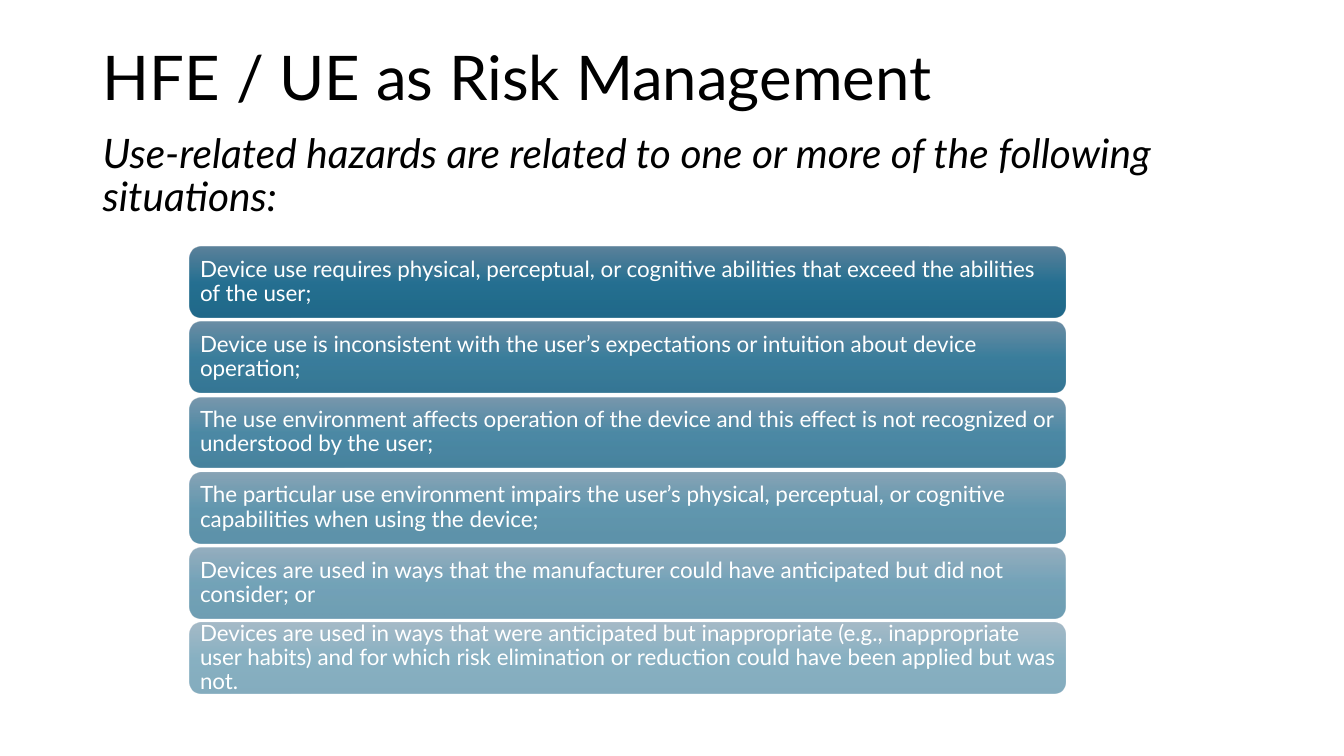
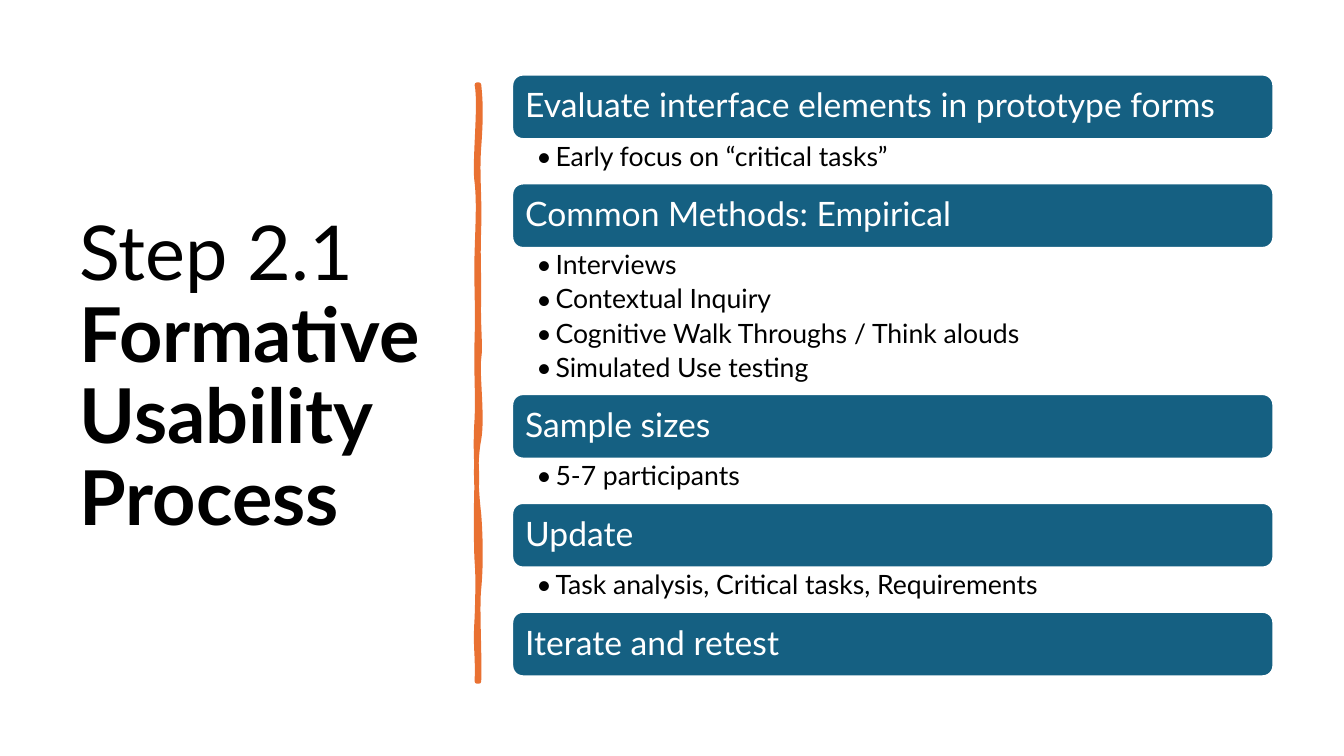
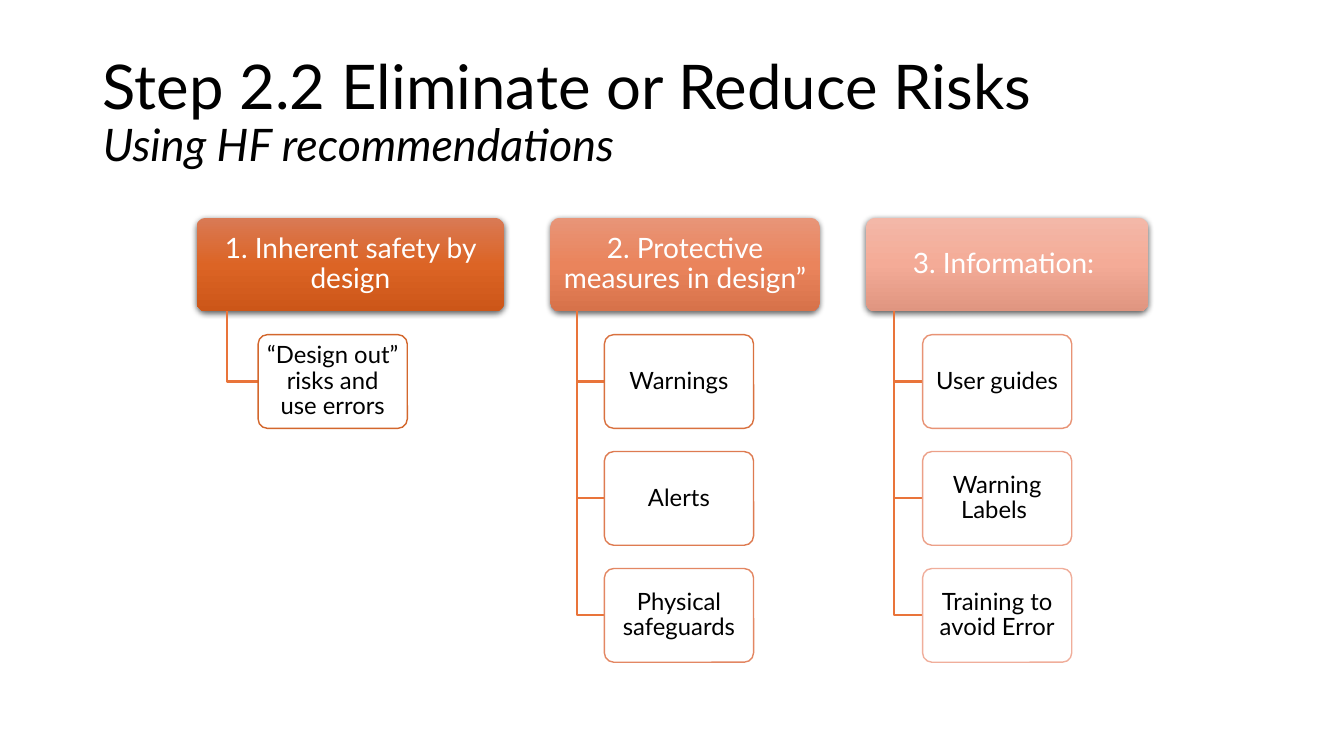
from lxml.etree import SubElement
from pptx import Presentation
from pptx.dml.color import RGBColor
from pptx.enum.shapes import MSO_SHAPE
from pptx.enum.text import MSO_ANCHOR, MSO_AUTO_SIZE, PP_ALIGN
from pptx.oxml.ns import qn
from pptx.util import Inches, Pt

COLORS = {
    "black": "000000", "white": "FFFFFF", "blue": "156082",
    "orange": "E97132", "elbow": "E9743A",
}
FONT = "Lato"
LINE_SPACING = 0.9

HAZARD_TITLE = [("HFE / UE as Risk Management", {})]
HAZARD_LEAD = "Use-related hazards are related to one or more of the following situations:"
HAZARD_GRADIENT = ("4C7591", "106287", "09597D")
HAZARDS = [
    "Device use requires physical, perceptual, or cognitive abilities that exceed the abilities of the user;",
    "Device use is inconsistent with the user’s expectations or intuition about device operation;",
    "The use environment affects operation of the device and this effect is not recognized or understood by the user;",
    "The particular use environment impairs the user’s physical, perceptual, or cognitive capabilities when using the device;",
    "Devices are used in ways that the manufacturer could have anticipated but did not consider; or",
    "Devices are used in ways that were anticipated but inappropriate (e.g., inappropriate user habits) and for which risk elimination or reduction could have been applied but was not.",
]

PROCESS_TITLE = [("Step 2.1 ", {}), ("Formative Usability Process", {"bold": True})]
PROCESS = [
    ("Evaluate interface elements in prototype forms", ["Early focus on “critical tasks”"], 0.43),
    ("Common Methods: Empirical", ["Interviews", "Contextual Inquiry",
     "Cognitive Walk Throughs / Think alouds", "Simulated Use testing"], 1.44),
    ("Sample sizes", ["5-7 participants"], 0.43),
    ("Update", ["Task analysis, Critical tasks, Requirements"], 0.43),
    ("Iterate and retest", [], 0),
]
DIVIDER_START = (4.75, 0.84)
DIVIDER_CURVES = [
    ((4.77, 1.02), (4.77, 1.19), (4.75, 1.46)),
    ((4.73, 1.73), (4.76, 1.95), (4.75, 2.26)),
    ((4.74, 2.57), (4.75, 2.62), (4.75, 2.94)),
    ((4.74, 3.25), (4.77, 3.42), (4.75, 3.56)),
    ((4.73, 3.7), (4.79, 4.14), (4.75, 4.36)),
    ((4.71, 4.57), (4.72, 4.84), (4.75, 5.1)),
    ((4.77, 5.36), (4.77, 5.64), (4.75, 5.84)),
    ((4.73, 6.03), (4.76, 6.5), (4.75, 6.76)),
    ((4.74, 6.76), (4.73, 6.76), (4.73, 6.76)),
    ((4.74, 6.46), (4.71, 6.44), (4.73, 6.13)),
    ((4.74, 5.83), (4.74, 5.7), (4.73, 5.57)),
    ((4.72, 5.44), (4.72, 4.95), (4.73, 4.77)),
    ((4.73, 4.59), (4.71, 4.45), (4.73, 4.15)),
    ((4.74, 3.86), (4.72, 3.73), (4.73, 3.35)),
    ((4.74, 2.98), (4.72, 2.81), (4.73, 2.5)),
    ((4.74, 2.18), (4.75, 2), (4.73, 1.81)),
    ((4.7, 1.63), (4.77, 1.04), (4.73, 0.84)),
]

RISK_TITLE = [("Step 2.2 Eliminate or Reduce Risks ", {}), ("\n", {}),
              ("Using HF recommendations", {"size": 32, "italic": True})]
RISK_COLUMNS = [
    ("1. Inherent safety by design", 3.05, ("D97A55", "DC6425", "CC5618"),
     [("“Design out” risks and\nuse errors", "D3672D")]),
    ("2. Protective measures in design”", 2.67, ("E89578", "EA845C", "D7724A"),
     [("Warnings", "D9713F"), ("Alerts", "DE7B51"), ("Physical safeguards", "E38763")]),
    ("3. Information: ", 2.8, ("F3B8A8", "F4AB97", "DF9580"),
     [("User guides", "E89375"), ("Warning Labels ", "ECA088"),
      ("Training to avoid Error", "F0AE9B")]),
]


def set_frame(frame, margins=(0.1, 0.05, 0.1, 0.05), anchor=MSO_ANCHOR.MIDDLE):
    values = {"word_wrap": True, "auto_size": MSO_AUTO_SIZE.NONE, "vertical_anchor": anchor}
    for side, margin in zip(("left", "top", "right", "bottom"), margins):
        values[f"margin_{side}"] = Inches(margin)
    for name, value in values.items():
        setattr(frame, name, value)


def write(para, spans, size, color="black", align=PP_ALIGN.LEFT, **style):
    para.alignment = align
    para.line_spacing = LINE_SPACING
    for text, changes in spans:
        if text == "\n":
            para.add_line_break()
            continue
        span = para.add_run()
        span.text = text
        span.font.color.rgb = RGBColor.from_string(COLORS[color])
        values = {"name": FONT, "size": size, **style, **changes}
        values["size"] = Pt(values["size"])
        for name, value in values.items():
            setattr(span.font, name, value)


def split_lines(text):
    first, *others = text.split("\n")
    spans = [(first, {})]
    for line in others:
        spans += [("\n", {}), (line, {})]
    return spans


def add_page(deck, title, area, size=44):
    page = deck.slides.add_slide(deck.slide_layouts[5])
    box = page.shapes.title
    box.left, box.top, box.width, box.height = map(Inches, area)
    set_frame(box.text_frame)
    write(box.text_frame.paragraphs[0], title, size)
    return page


def add_text_box(page, area, **frame_format):
    frame = page.shapes.add_textbox(*map(Inches, area)).text_frame
    set_frame(frame, **frame_format)
    return frame


def set_line(shape, color, width):
    shape.line.color.rgb = RGBColor.from_string(color)
    shape.line.width = Pt(width)


def set_gradient(shape, colors, alpha=100):
    shape.fill.gradient()
    shape.fill.gradient_angle = 270
    stops = shape._element.spPr.find(qn("a:gradFill")).find(qn("a:gsLst"))
    stops.clear()
    for position, color in zip((0, 50, 100), colors):
        stop = SubElement(stops, qn("a:gs"), pos=str(position * 1000))
        tone = SubElement(stop, qn("a:srgbClr"), val=color)
        if alpha < 100:
            SubElement(tone, qn("a:alpha"), val=str(alpha * 1000))


def add_shadow(shape):
    effects = shape._element.spPr.find(qn("a:effectLst"))
    shadow = SubElement(effects, qn("a:outerShdw"), blurRad=str(Pt(4.5)), dist=str(Pt(1.5)),
                        dir="5400000", algn="ctr", rotWithShape="0")
    tone = SubElement(shadow, qn("a:srgbClr"), val=COLORS["black"])
    SubElement(tone, qn("a:alpha"), val="63000")


def add_box(page, area, text, size, margins, corner=None, fill=None, line=None,
            gradient=None, alpha=100, **text_format):
    box = page.shapes.add_shape(MSO_SHAPE.ROUNDED_RECTANGLE, *map(Inches, area))
    box.shadow.inherit = False
    if corner:
        box.adjustments[0] = corner
    if gradient:
        set_gradient(box, gradient, alpha)
    else:
        box.fill.solid()
        box.fill.fore_color.rgb = RGBColor.from_string(fill)
    if line:
        set_line(box, *line)
    else:
        box.line.fill.background()
    set_frame(box.text_frame, margins)
    write(box.text_frame.paragraphs[0], split_lines(text), size, **text_format)
    return box


def add_outline(page, points, close):
    start, *rest = [(Inches(x), Inches(y)) for x, y in points]
    builder = page.shapes.build_freeform(*start)
    builder.add_line_segments(rest, close=close)
    outline = builder.convert_to_shape()
    outline.shadow.inherit = False
    return outline


def add_curved_outline(page, start, curves):
    outline = add_outline(page, [start] + [curve[-1] for curve in curves], True)
    segments = list(outline._element.spPr.iter(qn("a:lnTo")))
    for segment, curve in zip(segments, curves):
        segment.tag = qn("a:cubicBezTo")
        for point in list(segment):
            segment.remove(point)
        for x, y in curve:
            SubElement(segment, qn("a:pt"), x=str(Inches(x) - outline.left),
                       y=str(Inches(y) - outline.top))
    return outline


def add_bullets(frame, items):
    for index, item in enumerate(items):
        para = frame.add_paragraph() if index else frame.paragraphs[0]
        properties = para._p.get_or_add_pPr()
        properties.set("marL", str(Inches(0.19)))
        properties.set("indent", str(-Inches(0.19)))
        SubElement(properties, qn("a:buFont"), typeface=FONT)
        SubElement(properties, qn("a:buChar"), char="•")
        para.space_after = Pt(3.8)
        write(para, [(item, {})], 19)


def build_hazards(deck):
    page = add_page(deck, HAZARD_TITLE, (0.92, 0.4, 11.5, 0.8))
    first_top, last_top = 2.45, 6.18
    pitch = (last_top - first_top) / (len(HAZARDS) - 1)
    for index, hazard in enumerate(HAZARDS):
        add_box(page, (1.88, first_top + index * pitch, 8.69, 0.7), hazard, 16,
                (0.07, 0.07, 0.05, 0.07), gradient=HAZARD_GRADIENT,
                alpha=90 - 8 * index, color="white")
    lead = add_text_box(page, (0.92, 1.2, 11.5, 1.11))
    write(lead.paragraphs[0], [(HAZARD_LEAD, {})], 29, italic=True)


def build_process(deck):
    page = add_page(deck, PROCESS_TITLE, (0.69, 0.7, 3.74, 6.11), 54)
    divider = add_curved_outline(page, DIVIDER_START, DIVIDER_CURVES)
    divider.fill.solid()
    divider.fill.fore_color.rgb = RGBColor.from_string(COLORS["orange"])
    set_line(divider, COLORS["orange"], 3.25)
    left, top, width = 5.08, 0.74, 7.55
    for heading, items, list_height in PROCESS:
        add_box(page, (left, top, width, 0.64), heading, 24, (0.1,) * 4,
                fill=COLORS["blue"], line=(COLORS["white"], 1.5), color="white")
        top += 0.65
        if items:
            frame = add_text_box(page, (left, top, width, list_height),
                                 margins=(0.24, 0.03, 0.19, 0.03), anchor=MSO_ANCHOR.TOP)
            add_bullets(frame, items)
        top += list_height


def build_risks(deck):
    page = add_page(deck, RISK_TITLE, (0.92, 0.4, 11.5, 1.45))
    left, top, height, pitch, gap = 1.95, 2.16, 0.93, 1.16, 0.46
    for heading, width, gradient, measures in RISK_COLUMNS:
        header = add_box(page, (left, top, width, height), heading, 20,
                         (0.04, 0.03, 0.04, 0.03), corner=0.1, gradient=gradient,
                         color="white", align=PP_ALIGN.CENTER)
        add_shadow(header)
        trunk, child_left = left + 0.1 * width, left + 0.2 * width
        for row, (measure, border) in enumerate(measures, 1):
            child_top = top + row * pitch
            middle = child_top + height / 2
            elbow = add_outline(page, [(trunk, top + height), (trunk, middle),
                                       (child_left, middle)], False)
            elbow.fill.background()
            set_line(elbow, COLORS["elbow"], 1.5)
            add_box(page, (child_left, child_top, 1.48, height), measure, 17,
                    (0.04, 0.02, 0.04, 0.02), corner=0.1, fill=COLORS["white"],
                    line=(border, 1), align=PP_ALIGN.CENTER)
        left += width + gap


def main():
    deck = Presentation()
    deck.slide_width, deck.slide_height = Inches(13.33), Inches(7.5)
    for build in (build_hazards, build_process, build_risks):
        build(deck)
    deck.save("out.pptx")


if __name__ == "__main__":
    main()
